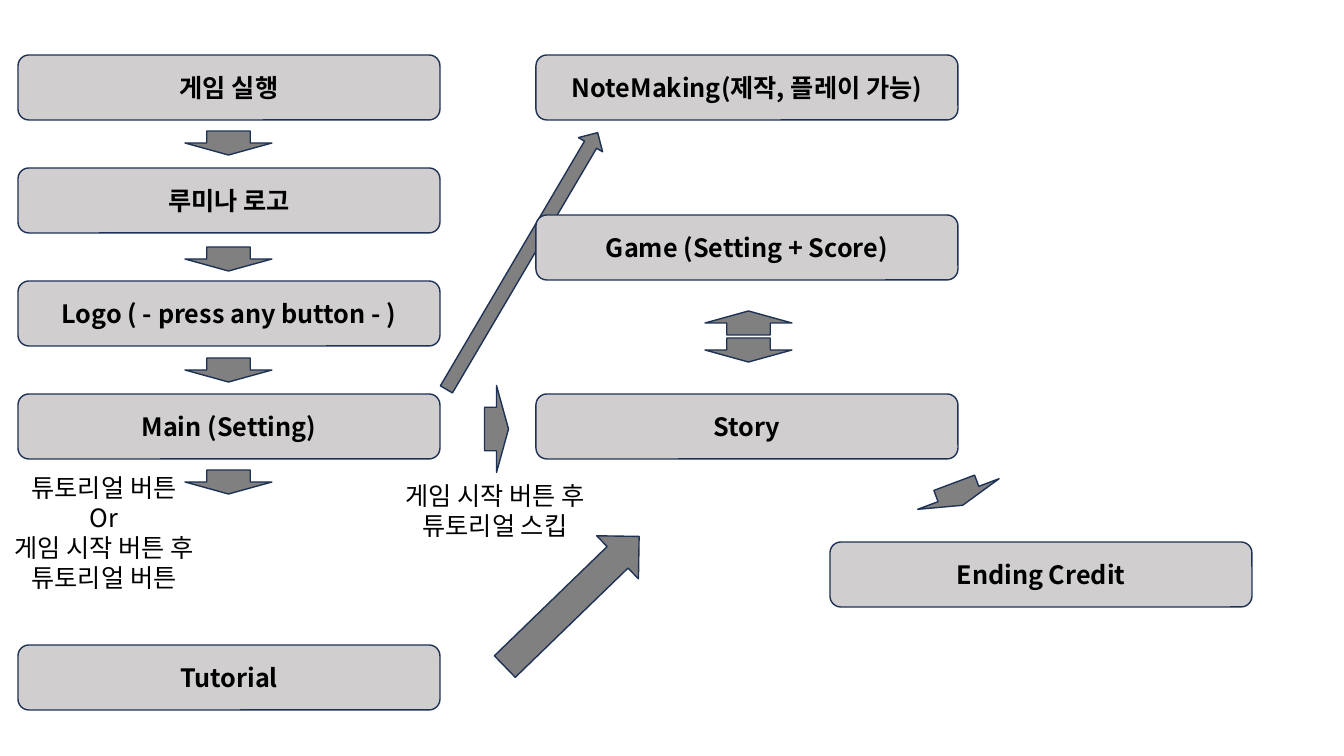
from dataclasses import dataclass

from lxml import etree
from pptx import Presentation, util as u
from pptx.dml.color import RGBColor
from pptx.enum import shapes, text
from pptx.oxml.ns import qn


@dataclass(frozen=True)
class Theme:
    font: str = "Noto Sans CJK KR"
    size: int = 18
    ink: str = "000000"
    box: str = "D0CECE"
    arrow: str = "808080"
    outline: str = "1E3256"
    outline_width: int = 1


def px(count):
    """Turn px into EMU, at 100.8 px to the inch."""
    return u.Emu(round(count * 914400 / 100.8))


def write_text(frame, content, theme, bold=False):
    """Fill a text frame with one centred paragraph for each line of content."""
    frame.word_wrap = True
    for index, line in enumerate(content.split("\n")):
        para = frame.paragraphs[0] if index == 0 else frame.add_paragraph()
        para.alignment = text.PP_ALIGN.CENTER
        span = para.add_run()
        span.text = line
        span.font.name = theme.font
        span.font.size = u.Pt(theme.size)
        span.font.bold = bold
        span.font.color.rgb = RGBColor.from_string(theme.ink)
        # Korean letters take the East Asian typeface
        east_asian = etree.SubElement(span.font._element, qn("a:ea"))
        east_asian.set("typeface", theme.font)


class FlowPage:
    def __init__(self, deck, theme):
        self.theme = theme
        self.page = deck.slides.add_slide(deck.slide_layouts[6])

    def shape(self, kind, fill, left, top, width, height):
        shape = self.page.shapes.add_shape(
            kind, px(left), px(top), px(width), px(height))
        shape.shadow.inherit = False
        shape.fill.solid()
        shape.fill.fore_color.rgb = RGBColor.from_string(fill)
        shape.line.color.rgb = RGBColor.from_string(self.theme.outline)
        shape.line.width = u.Pt(self.theme.outline_width)
        return shape

    def step(self, label, left, top):
        box = self.shape(shapes.MSO_SHAPE.ROUNDED_RECTANGLE, self.theme.box,
                         left, top, 422, 65)
        box.text_frame.vertical_anchor = text.MSO_ANCHOR.MIDDLE
        write_text(box.text_frame, label, self.theme, bold=True)

    def arrow(self, left, top, width=87, height=24, turn=0):
        arrow = self.shape(shapes.MSO_SHAPE.DOWN_ARROW, self.theme.arrow,
                           left, top, width, height)
        arrow.rotation = turn

    def note(self, content, left, top, width, height):
        box = self.page.shapes.add_textbox(
            px(left), px(top), px(width), px(height))
        write_text(box.text_frame, content, self.theme)
        box.text_frame.auto_size = text.MSO_AUTO_SIZE.SHAPE_TO_FIT_TEXT


def main():
    deck = Presentation()
    deck.slide_width, deck.slide_height = px(1344), px(756)
    flow = FlowPage(deck, Theme())
    left_column, right_column = 18, 536
    first_row, row_step = 55, 113
    main_row = first_row + 3 * row_step

    # Long arrows, behind the steps
    flow.arrow(508, 112, 28, 298, turn=210.5)
    flow.arrow(542, 508, 60, 187, turn=225.9)

    # Start-up steps
    startup = ["게임 실행", "루미나 로고", "Logo ( - press any button - )",
               "Main (Setting)"]
    for row, label in enumerate(startup):
        flow.step(label, left_column, first_row + row * row_step)
    for top in (131, 247, 358, 470):
        flow.arrow(185, top)

    # Ways on from the main screen
    flow.arrow(453, 417, turn=270)
    flow.note("튜토리얼 버튼\nOr\n게임 시작 버튼 후\n튜토리얼 버튼", 3, 467, 202, 163)
    flow.note("게임 시작 버튼 후\n튜토리얼 스킵", 394, 475, 202, 102)
    flow.step("Tutorial", left_column, 645)

    # Story, game and ending
    flow.step("Story", right_column, main_row)
    flow.step("Game (Setting + Score)", right_column, 215)
    flow.arrow(705, 311, turn=180)
    flow.arrow(705, 338)
    flow.arrow(915, 482, turn=339.4)
    flow.step("Ending Credit", 830, 542)
    flow.step("NoteMaking(제작, 플레이 가능)", right_column, first_row)

    deck.save("out.pptx")


if __name__ == "__main__":
    main()
